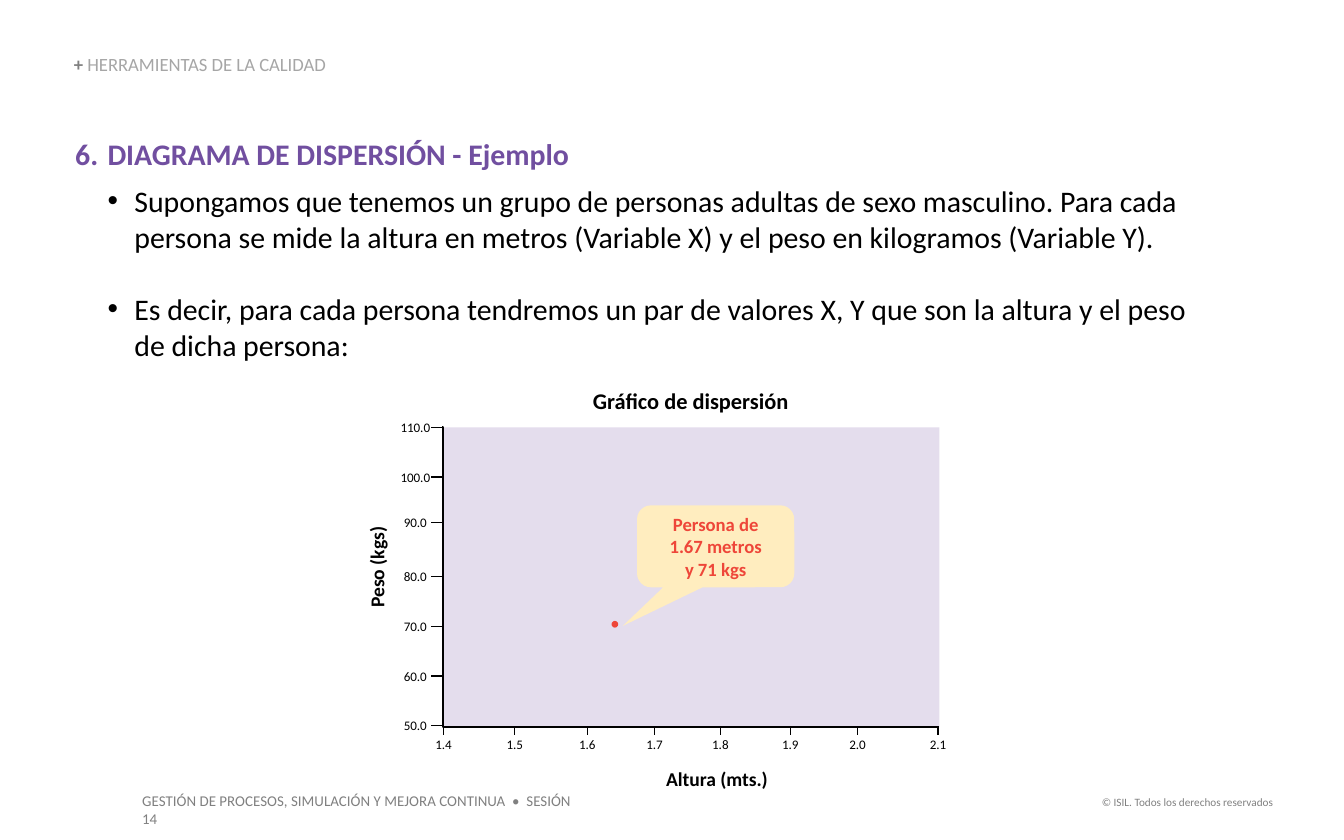
from dataclasses import dataclass

from lxml import etree
from pptx import Presentation
from pptx import util as u
from pptx.dml.color import RGBColor
from pptx.enum import shapes, text
from pptx.oxml.ns import qn


@dataclass(frozen=True)
class Theme:
    font: str = "Calibri"
    ink: str = "000000"
    gray: str = "808080"
    light_gray: str = "A6A6A6"
    purple: str = "714FA0"
    lilac: str = "E4DDED"
    cream: str = "FFEDBF"
    red: str = "EE4639"
    body: float = 16
    heading: float = 12
    axis: float = 10.5
    small: float = 10
    footer: float = 8
    tick: float = 7
    legal: float = 6


ALIGN = text.PP_ALIGN
ANCHOR = text.MSO_ANCHOR
COLS, ROWS = 100, 62.5


class SlideBuilder:
    """Places elements by columns and rows of the slide grid."""

    def __init__(self, prs, theme):
        self.theme = theme
        self.col = prs.slide_width / COLS
        self.row = prs.slide_height / ROWS
        self.s = prs.slides.add_slide(prs.slide_layouts[1])

    def box(self, x, y, w, h):
        return [round(v) for v in (x * self.col, y * self.row, w * self.col, h * self.row)]

    def place(self, sp, *box):
        sp.left, sp.top, sp.width, sp.height = self.box(*box)

    def frame(self, sp, inset=(0, 0, 0, 0), anchor=ANCHOR.TOP):
        tf = sp.text_frame
        sides = ("margin_left", "margin_top", "margin_right", "margin_bottom")
        values = dict(zip(sides, map(u.Inches, inset)))
        values |= {"word_wrap": True, "auto_size": text.MSO_AUTO_SIZE.NONE,
                   "vertical_anchor": anchor}
        for name, value in values.items():
            setattr(tf, name, value)
        return tf

    def run(self, p, words, size, color, bold=False):
        r = p.add_run()
        r.text = words
        for name, value in {"name": self.theme.font, "size": u.Pt(size), "bold": bold}.items():
            setattr(r.font, name, value)
        r.font.color.rgb = RGBColor.from_string(color)

    def title(self, box, runs):
        sp = self.s.shapes.title
        self.place(sp, *box)
        p = self.frame(sp, anchor=ANCHOR.BOTTOM).paragraphs[0]
        p.alignment, p.line_spacing = ALIGN.LEFT, 0.9
        for r in runs:
            self.run(p, *r)

    def bullets(self, box, items):
        """Each item: words, format, indent, hanging, space before and after, bullet."""
        sp = self.s.placeholders[1]
        self.place(sp, *box)
        tf = self.frame(sp, (0, 0, 0, 0.05))
        for i, (words, style, indent, hang, before, after, (tag, attrs)) in enumerate(items):
            p = tf.add_paragraph() if i else tf.paragraphs[0]
            p.space_before, p.space_after = u.Pt(before), u.Pt(after)
            pPr = p._p.get_or_add_pPr()
            pPr.set("marL", str(u.Inches(indent)))
            pPr.set("indent", str(-u.Inches(hang)))
            if tag == "a:buChar":
                etree.SubElement(pPr, qn("a:buFont"), typeface="Arial")
            etree.SubElement(pPr, qn(tag), **attrs)
            self.run(p, words, *style)

    def label(self, box, words, size, color, bold=False, align=ALIGN.CENTER,
              inset=(0, 0, 0, 0), rotation=0):
        sp = self.s.shapes.add_textbox(*self.box(*box))
        sp.rotation = rotation
        p = self.frame(sp, inset).paragraphs[0]
        p.alignment = align
        self.run(p, words, size, color, bold)

    def shape(self, kind, box, fill):
        sp = self.s.shapes.add_shape(kind, *self.box(*box))
        sp.shadow.inherit = False
        sp.fill.solid()
        sp.fill.fore_color.rgb = RGBColor.from_string(fill)
        sp.line.fill.background()
        return sp

    def callout(self, box, tail, lines, size, fill, color):
        sp = self.shape(shapes.MSO_SHAPE.ROUNDED_RECTANGULAR_CALLOUT, box, fill)
        for i, value in enumerate(tail):
            sp.adjustments[i] = value
        p = self.frame(sp, (0.1, 0.05, 0.1, 0.05), ANCHOR.MIDDLE).paragraphs[0]
        p.alignment = ALIGN.CENTER
        for i, line in enumerate(lines):
            if i:
                p.add_line_break()
            self.run(p, line, size, color, True)

    def line(self, x1, y1, x2, y2, width=0.75, kind=shapes.MSO_CONNECTOR.STRAIGHT):
        c = self.s.shapes.add_connector(kind, *self.box(x1, y1, x2, y2))
        c.line.width = u.Pt(width)
        c.line.color.rgb = RGBColor.from_string(self.theme.ink)
        etree.SubElement(c._element.spPr, qn("a:effectLst"))
        return c

    def axes(self, left, top, right, bottom):
        """Both axes as one elbow whose bend lies at the left edge."""
        c = self.line(left, top, right, bottom, 1, shapes.MSO_CONNECTOR.ELBOW)
        av = c._element.spPr.find(qn("a:prstGeom")).get_or_add_avLst()
        etree.SubElement(av, qn("a:gd"), name="adj1", fmla="val 200")


def scatter(b, t):
    left, top, right, bottom = 32.9, 31.8, 69.9, 54.1
    x_ticks = {"1.4": 33, "1.5": 38.3, "1.6": 43.7, "1.7": 48.7,
               "1.8": 53.6, "1.9": 58.8, "2.0": 63.8, "2.1": 69.8}
    y_ticks = {"50.0": 54, "60.0": 50.3, "70.0": 46.6, "80.0": 42.9,
               "90.0": 38.9, "100.0": 35.5, "110.0": 31.8}
    w, h = 2.8, 1.2

    b.label((41.3, 28.8, 20.2, 2), "Gráfico de dispersión", t.heading, t.ink, True)
    for words, x in x_ticks.items():
        b.line(x, 53.5, x, 54.7)
        b.label((x - w / 2, 54.8, w, h), words, t.tick, t.ink)
    for words, y in y_ticks.items():
        b.line(32.1, y, left, y)
        b.label((29.5, y - h / 2, w, h), words, t.tick, t.ink)
    b.shape(shapes.MSO_SHAPE.RECTANGLE, (left, top, right - left, bottom - top), t.lilac)
    b.axes(left, top, right, bottom)
    b.shape(shapes.MSO_SHAPE.OVAL, (45.5, 46.2, 0.5, 0.5), t.red)
    b.callout((47.4, 37.6, 11.7, 6.1), (-0.59, 0.97, 0.17),
              ("Persona de 1.67 metros", "y 71 kgs"), t.small, t.cream, t.red)
    b.label((48, 57.1, 10.7, 1.8), "Altura (mts.)", t.axis, t.ink, True)
    b.label((23.5, 41.3, 9.1, 1.8), "Peso (kgs)", t.axis, t.ink, True, rotation=270)


def main():
    prs = Presentation()
    prs.slide_width, prs.slide_height = u.Inches(10), u.Inches(6.25)
    t = Theme()
    b = SlideBuilder(prs, t)

    b.title((5.5, 4.1, 26.6, 1.5), [
        ("+ ", t.small, t.gray, True),
        ("HERRAMIENTAS DE LA CALIDAD", t.small, t.light_gray)])
    number = ("a:buAutoNum", {"type": "arabicPeriod", "startAt": "6"})
    dot = ("a:buChar", {"char": "•"})
    plain = (t.body, t.ink)
    b.bullets((5.6, 10.1, 85.1, 17.5), [
        ("DIAGRAMA DE DISPERSIÓN - Ejemplo", (t.body, t.purple, True),
         0.24, 0.24, 0, 6, number),
        ("Supongamos que tenemos un grupo de personas adultas de sexo masculino. "
         "Para cada persona se mide la altura en metros (Variable X) y el peso en "
         "kilogramos (Variable Y).", plain, 0.44, 0.2, 0, 0, dot),
        ("Es decir, para cada persona tendremos un par de valores X, Y que son la "
         "altura y el peso de dicha persona:", plain, 0.44, 0.2, 19.5, 0, dot)])
    scatter(b, t)

    inset = (0.1, 0.05, 0.1, 0.05)
    b.label((9.6, 58.4, 35.3, 2.4),
            "GESTIÓN DE PROCESOS, SIMULACIÓN Y MEJORA CONTINUA  •  SESIÓN 14",
            t.footer, t.gray, align=ALIGN.LEFT, inset=inset)
    b.label((80.7, 58.7, 15, 2), "© ISIL. Todos los derechos reservados",
            t.legal, t.gray, align=ALIGN.RIGHT, inset=inset)
    prs.save("out.pptx")


if __name__ == "__main__":
    main()
